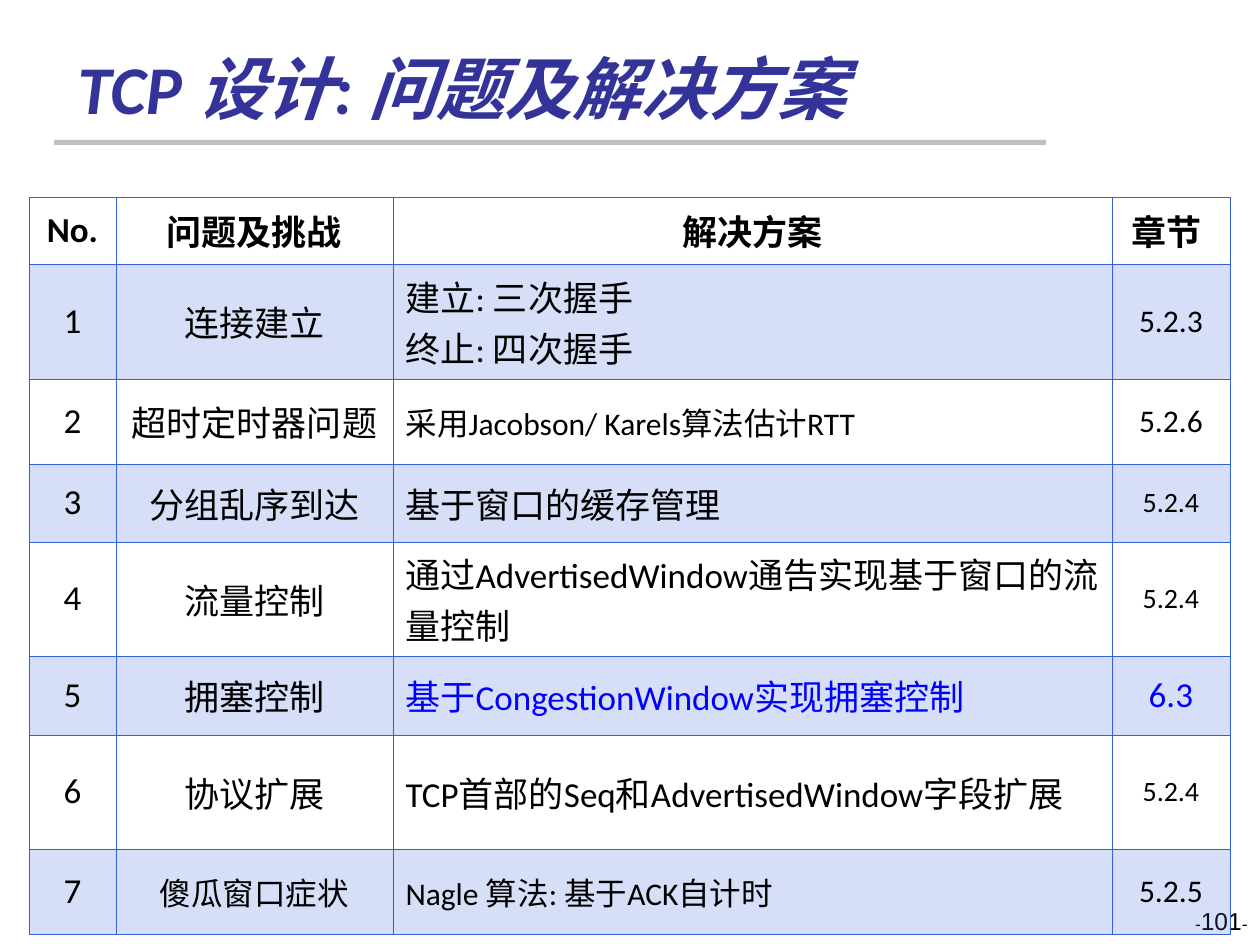
from lxml.etree import SubElement
from pptx import Presentation
from pptx.dml.color import RGBColor
from pptx.enum.shapes import MSO_SHAPE
from pptx.enum.text import MSO_ANCHOR, PP_ALIGN
from pptx.oxml.ns import qn
from pptx.util import Inches, Pt

BLACK = RGBColor(0x00, 0x00, 0x00)
BLUE = RGBColor(0x00, 0x00, 0xFF)
NAVY = RGBColor(0x33, 0x33, 0x99)
GRAY = RGBColor(0xBF, 0xBF, 0xBF)
TABLE_BLUE = RGBColor(0x32, 0x61, 0xDA)
PX = Inches(1) / 126


def px(*lengths):
    return [round(length * PX) for length in lengths]


def add_border(cell, side, width):
    line = SubElement(cell._tc.get_or_add_tcPr(), qn(f"a:ln{side}"), w=str(Pt(width)))
    fill = SubElement(line, qn("a:solidFill"))
    SubElement(fill, qn("a:srgbClr"), val=str(TABLE_BLUE))


deck = Presentation()
deck.slide_width, deck.slide_height = px(1260, 945)
page = deck.slides.add_slide(deck.slide_layouts[5])

# Title and the rule below it
title = page.shapes.title
title.left, title.top, title.width, title.height = px(65, 36, 1040, 98)
title.text_frame.text = "TCP 设计: 问题及解决方案"
title.text_frame.vertical_anchor = MSO_ANCHOR.BOTTOM
para = title.text_frame.paragraphs[0]
para.alignment = PP_ALIGN.LEFT
font = para.runs[0].font
font.name, font.size, font.bold, font.italic = "Calibri", Pt(39), True, True
font.color.rgb = NAVY

rule = page.shapes.add_shape(MSO_SHAPE.RECTANGLE, *px(54, 140, 992, 5))
rule.shadow.inherit = False
rule.fill.solid()
rule.fill.fore_color.rgb = GRAY
rule.line.fill.background()

# Page number
number = page.shapes.add_textbox(*px(966, 900, 294, 63))
number.text_frame.word_wrap = True
para = number.text_frame.paragraphs[0]
para.alignment = PP_ALIGN.RIGHT
for text, size in (("-", 10), ("101", 14), ("-", 10)):
    span = para.add_run()
    span.text = text
    span.font.name, span.font.size = "Arial", Pt(size)
    span.font.color.rgb = BLACK

# Table: each row has its height, its texts and the text size of each column
ROWS = [
    (67, ("No.", "问题及挑战", "解决方案", "章节 "), (20, 20, 20, 20)),
    (115, ("1", "连接建立", "建立: 三次握手\n终止: 四次握手", "5.2.3"), (20, 20, 20, 18)),
    (85, ("2", "超时定时器问题", "采用Jacobson/ Karels算法估计RTT", "5.2.6"), (20, 20, 18, 18)),
    (78, ("3", "分组乱序到达", "基于窗口的缓存管理", "5.2.4"), (20, 20, 20, 16)),
    (114, ("4", "流量控制", "通过AdvertisedWindow通告实现基于窗口的流量控制", "5.2.4"), (20, 20, 20, 16)),
    (79, ("5", "拥塞控制", "基于CongestionWindow实现拥塞控制", "6.3"), (20, 20, 20, 20)),
    (114, ("6", "协议扩展", "TCP首部的Seq和AdvertisedWindow字段扩展", "5.2.4"), (20, 20, 20, 16)),
    (86, ("7", "傻瓜窗口症状", "Nagle 算法: 基于ACK自计时", "5.2.5"), (20, 18, 18, 18)),
]
COLUMN_WIDTHS = (87, 277, 719, 118)
SOLUTION_COLUMN = 2
HIGHLIGHT_ROW = 5

table = page.shapes.add_table(
    len(ROWS), len(COLUMN_WIDTHS),
    *px(29, 197, sum(COLUMN_WIDTHS), sum(row[0] for row in ROWS)),
).table
table.first_row = table.horz_banding = False
for column, width in zip(table.columns, px(*COLUMN_WIDTHS)):
    column.width = width

for r, (height, texts, sizes) in enumerate(ROWS):
    table.rows[r].height = px(height)[0]
    for c, (text, size) in enumerate(zip(texts, sizes)):
        cell = table.cell(r, c)
        cell.text_frame.text = text
        cell.vertical_anchor = MSO_ANCHOR.MIDDLE
        for side in "LRTB":
            add_border(cell, side, 0.45)
        if r % 2:
            cell.fill.solid()
            cell.fill.fore_color.rgb = TABLE_BLUE
            color = cell._tc.tcPr.find(qn("a:solidFill")).find(qn("a:srgbClr"))
            SubElement(color, qn("a:alpha"), val="20000")
        else:
            cell.fill.background()
        left_aligned = r > 0 and c == SOLUTION_COLUMN
        highlighted = r == HIGHLIGHT_ROW and c >= SOLUTION_COLUMN
        for para in cell.text_frame.paragraphs:
            para.alignment = PP_ALIGN.LEFT if left_aligned else PP_ALIGN.CENTER
            font = para.runs[0].font
            font.name, font.size, font.bold = "Calibri", Pt(size), r == 0
            font.color.rgb = BLUE if highlighted else BLACK

deck.save("out.pptx")
